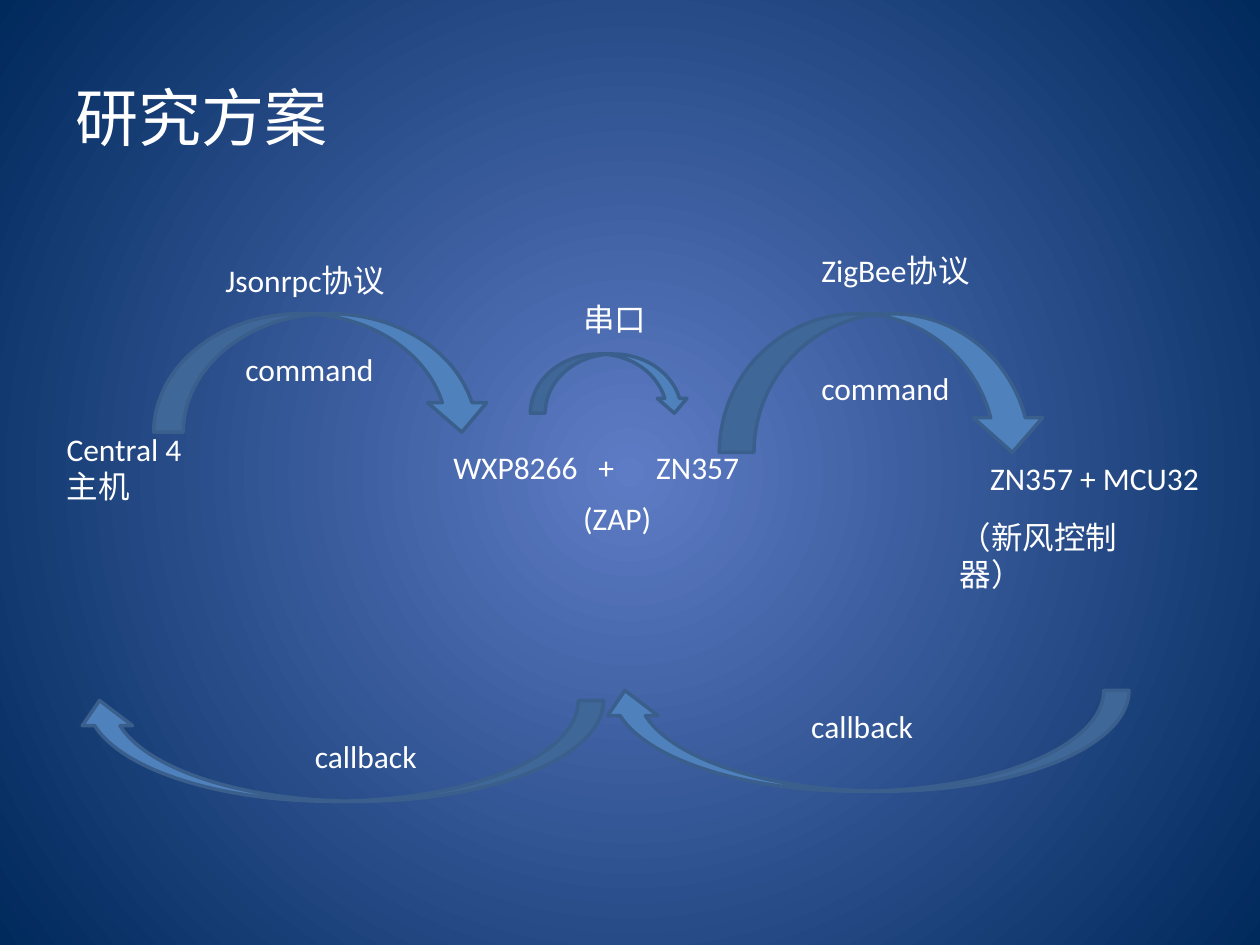
from lxml import etree
from pptx import Presentation
from pptx.dml.color import RGBColor
from pptx.enum import shapes, text
from pptx.oxml import ns
from pptx.util import Inches, Pt

WHITE = RGBColor(0xFF, 0xFF, 0xFF)
ARROW_FILL = RGBColor(0x4F, 0x81, 0xBD)
ARROW_LINE = RGBColor(0x3A, 0x5F, 0x8C)
GLOW_CENTRE = RGBColor(0x5E, 0x7C, 0xC5)
GLOW_EDGE = RGBColor(0x00, 0x29, 0x5C)

LABEL_FONT = {"name": "Calibri", "size": Pt(18)}
TITLE_FONT = {"name": "Calibri", "size": Pt(36)}

LEFT_ARROW = shapes.MSO_SHAPE.CURVED_LEFT_ARROW
DOWN_ARROW = shapes.MSO_SHAPE.CURVED_DOWN_ARROW

# kind, rotation, (left, top, width, height) before rotation
ARROWS = [
    (LEFT_ARROW, 270, (2.09, 1.62, 0.94, 2.68)),
    (LEFT_ARROW, 90, (6.46, 3.78, 0.8, 4.2)),
    (LEFT_ARROW, 270, (6.46, 1.74, 1.1, 2.6)),
    (LEFT_ARROW, 90, (2.29, 3.86, 0.8, 4.2)),
    (DOWN_ARROW, 0, (4.21, 2.81, 1.26, 0.47)),
]

# words, (left, top, width, height)
LABELS = [
    ("Central 4 主机", (0.43, 3.36, 1.34, 0.71)),
    ("(ZAP)", (4.53, 3.91, 0.75, 0.4)),
    ("（新风控制器）", (7.52, 4.06, 1.81, 0.4)),
    ("Jsonrpc协议", (1.69, 2.02, 2.13, 0.4)),
    ("ZigBee协议", (6.42, 1.94, 1.89, 0.4)),
    ("command", (1.85, 2.73, 1.5, 0.4)),
    ("command", (6.42, 2.88, 1.42, 0.4)),
    ("callback", (6.34, 5.56, 1.26, 0.4)),
    ("callback", (2.4, 5.8, 1.18, 0.4)),
    ("串口", (4.53, 2.33, 1.18, 0.4)),
    ("ZN357 + MCU32", (7.76, 3.59, 2.05, 0.4)),
]
GATEWAY = ("WXP8266\t+\tZN357", (3.5, 3.51, 2.91, 0.4))
GATEWAY_TABS = (1.15, 1.61)


def inches(values):
    return [Inches(value) for value in values]


def format_font(font, values):
    for name, value in values.items():
        setattr(font, name, value)
    font.color.rgb = WHITE


def paint_background(page):
    """Fill the page with a circular glow around its centre."""
    fill = page.background.fill
    fill.gradient()
    for stop, colour in zip(fill.gradient_stops, (GLOW_CENTRE, GLOW_EDGE)):
        stop.color.rgb = colour
    gradient = page.element.find(".//" + ns.qn("a:gradFill"))
    linear = gradient.find(ns.qn("a:lin"))
    circle = etree.Element(ns.qn("a:path"), path="circle")
    etree.SubElement(circle, ns.qn("a:fillToRect"),
                     l="50000", t="50000", r="50000", b="50000")
    gradient.replace(linear, circle)


def add_title(page, words):
    title = page.shapes.title
    title.left, title.top, title.width, title.height = inches((0.5, 0.3, 9, 1.25))
    title.text_frame.vertical_anchor = text.MSO_ANCHOR.MIDDLE
    para = title.text_frame.paragraphs[0]
    para.text = words
    para.alignment = text.PP_ALIGN.LEFT
    format_font(para.font, TITLE_FONT)


def add_arrow(page, kind, rotation, place):
    arrow = page.shapes.add_shape(kind, *inches(place))
    arrow.rotation = rotation
    arrow.shadow.inherit = False
    arrow.fill.solid()
    arrow.fill.fore_color.rgb = ARROW_FILL
    arrow.line.color.rgb = ARROW_LINE
    arrow.line.width = Pt(2)


def add_label(page, words, place, tabs=()):
    box = page.shapes.add_textbox(*inches(place))
    box.text_frame.word_wrap = True
    para = box.text_frame.paragraphs[0]
    para.text = words
    if tabs:
        tab_list = etree.SubElement(para._p.get_or_add_pPr(), ns.qn("a:tabLst"))
        for stop in tabs:
            etree.SubElement(tab_list, ns.qn("a:tab"),
                             pos=str(Inches(stop)), algn="l")
    format_font(para.font, LABEL_FONT)


def main():
    deck = Presentation()
    deck.slide_width, deck.slide_height = Inches(10), Inches(7.5)
    page = deck.slides.add_slide(deck.slide_layouts[5])
    paint_background(page)
    add_title(page, "研究方案")
    for kind, rotation, place in ARROWS:
        add_arrow(page, kind, rotation, place)
    for words, place in LABELS:
        add_label(page, words, place)
    add_label(page, *GATEWAY, tabs=GATEWAY_TABS)
    deck.save("out.pptx")


if __name__ == "__main__":
    main()
